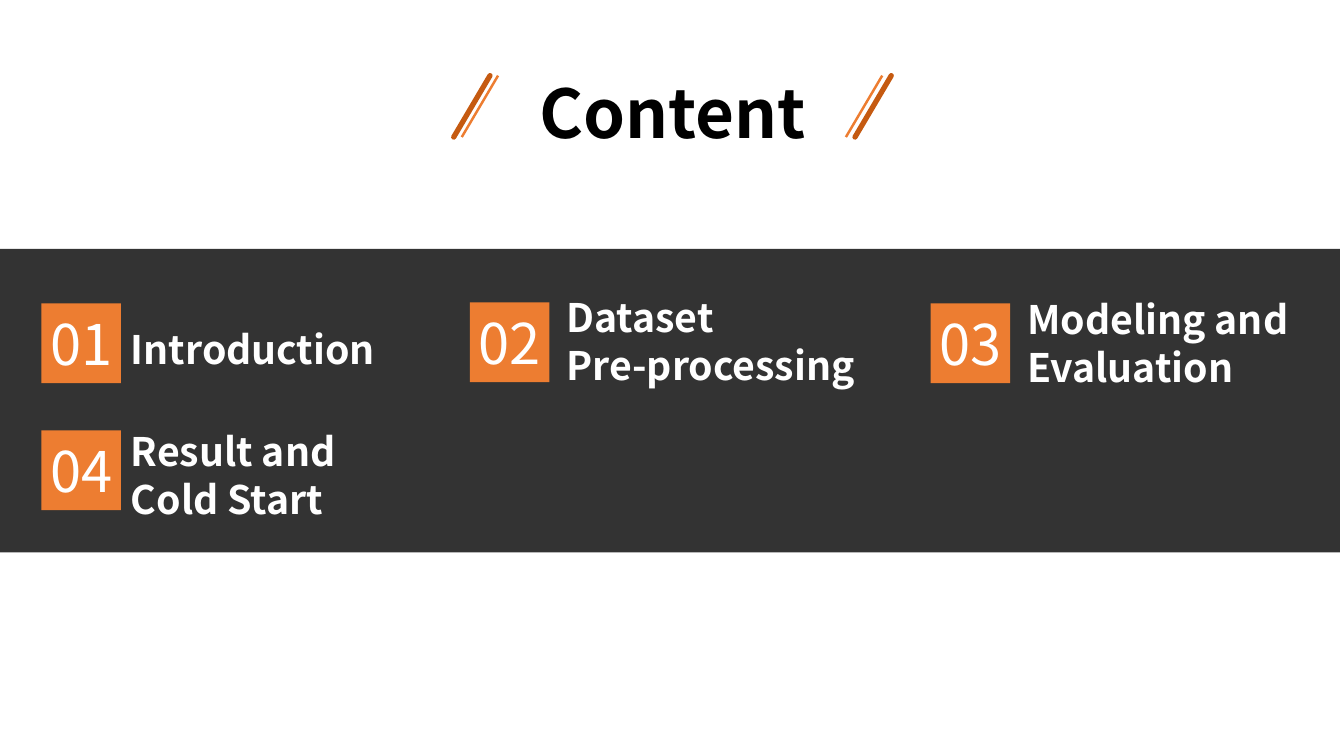
import pptx
import pptx.dml.color
import pptx.enum.shapes
import pptx.enum.text
import pptx.oxml.ns
import pptx.util
from lxml import etree
from pptx.util import Inches

FONT = "Noto Sans CJK SC"
ORANGE, RUST, WHITE, BLACK = "ED7D31", "C55A11", "FFFFFF", "000000"
TOPICS = [
    ("01", "Introduction", 0.41, 3.01, 1.2, 2.94, 2.71),
    ("02", "Dataset\nPre-processing", 4.66, 3, 5.52, 2.86, 3.26),
    ("03", "Modeling and Evaluation", 9.23, 3.01, 10.09, 2.88, 3.05),
    ("04", "Result and Cold Start", 0.41, 4.27, 1.2, 4.19, 2.63),
]


def paint(color, value):
    """Set a colour format from a hex string."""
    color.rgb = pptx.dml.color.RGBColor.from_string(value)


def add_node(parent, name, **attrs):
    """Append a drawing element with the given attributes."""
    return etree.SubElement(parent, pptx.oxml.ns.qn(name), attrs)


def write(shape, text, size, color=WHITE, bold=False, align="LEFT",
          anchor="MIDDLE", wrap=True, inset=None):
    """Fill a shape with formatted text, one paragraph per line."""
    frame = shape.text_frame
    frame.text = text
    frame.word_wrap = wrap
    frame.auto_size = pptx.enum.text.MSO_AUTO_SIZE.NONE
    frame.vertical_anchor = getattr(pptx.enum.text.MSO_ANCHOR, anchor)
    if inset is None:
        frame.margin_left = frame.margin_right = Inches(0.1)
        frame.margin_top = frame.margin_bottom = Inches(0.05)
    else:
        frame.margin_left = frame.margin_right = Inches(inset)
        frame.margin_top = frame.margin_bottom = Inches(inset)
    for para in frame.paragraphs:
        para.alignment = getattr(pptx.enum.text.PP_ALIGN, align)
        para.line_spacing = pptx.util.Pt(round(size * 1.21, 1))
        para.space_before = para.space_after = pptx.util.Pt(0)
        for run in para.runs:
            run.font.name = FONT
            run.font.size = pptx.util.Pt(size)
            run.font.bold = bold
            paint(run.font.color, color)


def add_box(slide, left, top, width, height, color, alpha=None):
    """Add a plain filled rectangle, see-through if alpha is given."""
    box = slide.shapes.add_shape(
        pptx.enum.shapes.MSO_SHAPE.RECTANGLE,
        Inches(left), Inches(top), Inches(width), Inches(height))
    box.shadow.inherit = False
    box.fill.solid()
    paint(box.fill.fore_color, color)
    box.line.fill.background()
    if alpha is not None:
        tint = box.element.spPr.find(".//" + pptx.oxml.ns.qn("a:srgbClr"))
        add_node(tint, "a:alpha", val=str(alpha * 1000))
    return box


def add_slash(slide, left, color, width):
    """Add one slanted stroke beside the title."""
    line = slide.shapes.add_connector(
        pptx.enum.shapes.MSO_CONNECTOR.STRAIGHT,
        Inches(left + 0.36), Inches(0.75), Inches(left), Inches(1.36))
    line.line.width = pptx.util.Pt(width)
    paint(line.line.color, color)
    if color == RUST:
        line.line._get_or_add_ln().set("cap", "rnd")
    add_node(line.element.spPr, "a:effectLst")


def add_title(slide, text):
    """Place the title and the strokes on both sides of it."""
    title = slide.shapes.title
    title.left, title.top = Inches(5.21), Inches(0.65)
    title.width, title.height = Inches(2.92), Inches(0.91)
    write(title, text, 48, color=BLACK, bold=True, align="CENTER",
          anchor="TOP", wrap=False)
    for left in (4.58, 8.39):
        add_slash(slide, left, ORANGE, 1.75)
    for left in (4.5, 8.48):
        add_slash(slide, left, RUST, 3.75)


def add_topic(slide, number, text, left, top, text_left, text_top, width):
    """Add a numbered square with its label."""
    label = slide.shapes.add_textbox(
        Inches(text_left), Inches(text_top), Inches(width), Inches(1.04))
    write(label, text, 28, bold=True)
    square = add_box(slide, left, top, 0.79, 0.79, ORANGE)
    write(square, number, 40, align="CENTER", inset=0)


def main():
    """Build the contents slide."""
    deck = pptx.Presentation()
    deck.slide_width, deck.slide_height = Inches(13.33), Inches(7.5)
    slide = deck.slides.add_slide(deck.slide_layouts[5])
    add_box(slide, -0.09, 2.47, 13.38, 3.01, BLACK, alpha=80)
    add_title(slide, "Content")
    for topic in TOPICS:
        add_topic(slide, *topic)
    deck.save("out.pptx")


if __name__ == "__main__":
    main()
